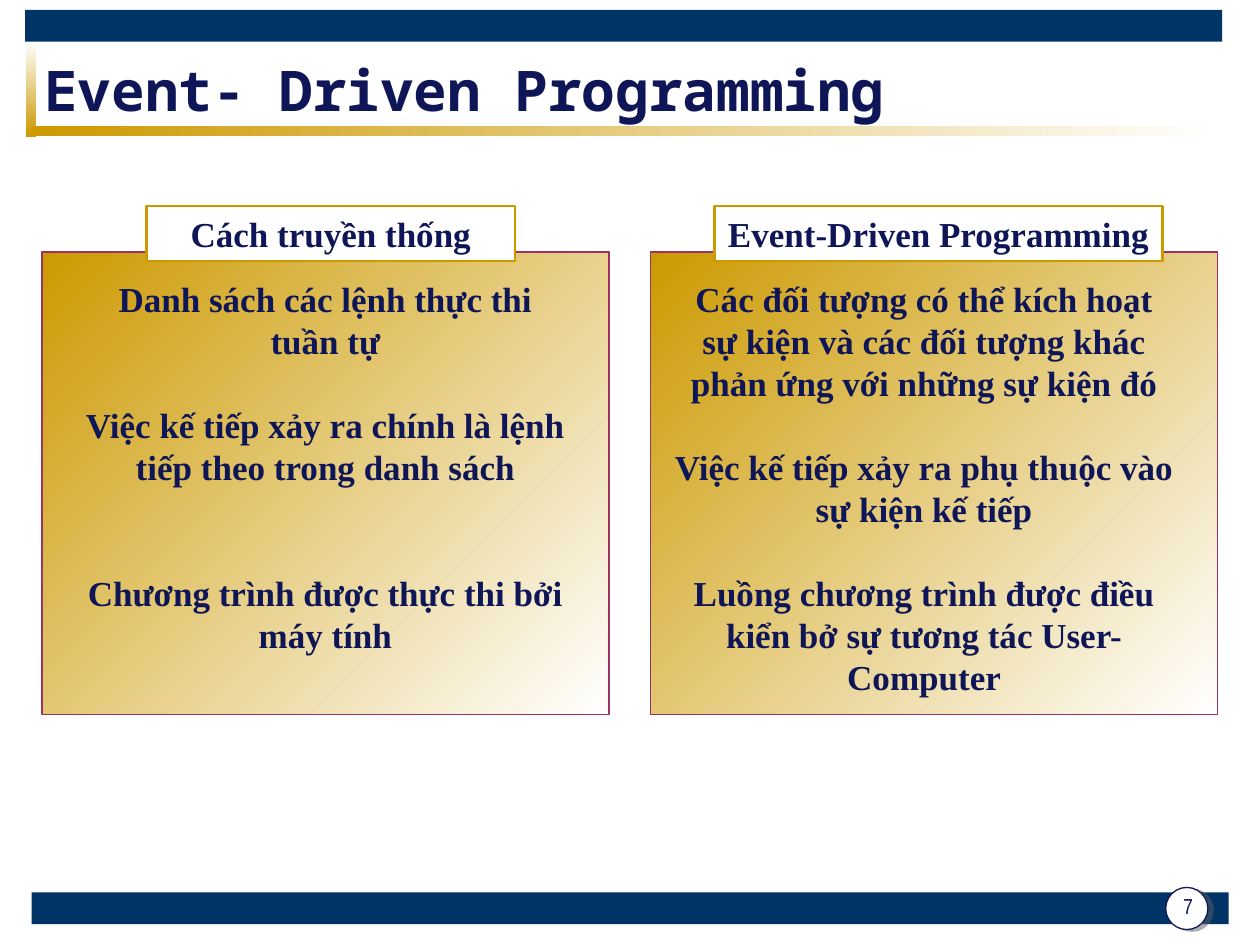
import pptx
import pptx.dml.color
import pptx.enum.shapes
import pptx.enum.text
import pptx.oxml
import pptx.oxml.ns
import pptx.util
from pptx.util import Cm

NAVY, BAR_BLUE, GOLD, PLUM, WHITE = "0F1657", "003366", "CC9900", "993366", "FFFFFF"
BODY_FONT = "Times New Roman"
PANEL_TOP, PANEL_WIDTH, PANEL_HEIGHT = 5.08, 11.43, 9.32
BODY_TOP, LINE_PT = 5.46, 24

# Each column: panel left, heading (left, width, text), body (left, width, height),
# and body paragraphs as (text, empty lines above)
COLUMNS = [
    (0.85, (2.96, 7.42, "Cách truyền thống"), (1.48, 10.16, 7.87), [
        ("Danh sách các lệnh thực thi tuần tự", 0),
        ("Việc kế tiếp xảy ra chính là lệnh tiếp theo trong danh sách", 1),
        ("Chương trình được thực thi bởi máy tính", 2),
    ]),
    (13.12, (14.4, 9.04, "Event-Driven Programming"), (13.34, 10.58, 8.72), [
        ("Các đối tượng có thể kích hoạt sự kiện và các đối tượng khác "
         "phản ứng với những sự kiện đó", 0),
        ("Việc kế tiếp xảy ra phụ thuộc vào sự kiện kế tiếp", 1),
        ("Luồng chương trình được điều kiển bở sự tương tác User-Computer", 1),
    ]),
]


def color(hex_code):
    return pptx.dml.color.RGBColor.from_string(hex_code)


def write(frame, paragraphs, font=BODY_FONT, size=20, bold=True, align="CENTER",
          anchor="MIDDLE", spacing=None):
    """Fill a text frame with (text, points above) paragraphs."""
    frame.word_wrap = True
    frame.auto_size = pptx.enum.text.MSO_AUTO_SIZE.NONE
    frame.vertical_anchor = getattr(pptx.enum.text.MSO_ANCHOR, anchor)
    for index, (text, above) in enumerate(paragraphs):
        paragraph = frame.add_paragraph() if index else frame.paragraphs[0]
        paragraph.alignment = getattr(pptx.enum.text.PP_ALIGN, align)
        paragraph.space_before = pptx.util.Pt(above)
        if spacing:
            paragraph.line_spacing = spacing
        run = paragraph.add_run()
        run.text = text
        run.font.name = font
        run.font.size = pptx.util.Pt(size)
        run.font.bold = bold
        run.font.color.rgb = color(NAVY)


def add_box(slide, left, top, width, height, fill, angle=0, line=None,
            line_width=0.75, preset="RECTANGLE"):
    """Add a shape; fill is one hex colour or a pair for a gradient (clockwise angle)."""
    box = slide.shapes.add_shape(getattr(pptx.enum.shapes.MSO_SHAPE, preset),
                                 Cm(left), Cm(top), Cm(width), Cm(height))
    box.shadow.inherit = False
    if isinstance(fill, tuple):
        box.fill.gradient()
        box.fill.gradient_angle = -angle % 360
        for stop, position, hex_code in zip(box.fill.gradient_stops, (0, 1), fill):
            stop.position = position
            stop.color.rgb = color(hex_code)
    else:
        box.fill.solid()
        box.fill.fore_color.rgb = color(fill)
    if line:
        box.line.color.rgb = color(line)
        box.line.width = pptx.util.Pt(line_width)
    else:
        box.line.fill.background()
    return box


def add_label(slide, left, top, width, height, paragraphs, **text_format):
    label = slide.shapes.add_textbox(Cm(left), Cm(top), Cm(width), Cm(height))
    write(label.text_frame, paragraphs, **text_format)


def add_shadow(shape, hex_code, alpha, distance, direction):
    effects = shape._element.spPr.find(pptx.oxml.ns.qn("a:effectLst"))
    effects.append(pptx.oxml.parse_xml(
        f'<a:outerShdw {pptx.oxml.ns.nsdecls("a")} blurRad="0" '
        f'dist="{pptx.util.Pt(distance)}" dir="{direction * 60000}" algn="ctr" '
        f'rotWithShape="0"><a:srgbClr val="{hex_code}">'
        f'<a:alpha val="{alpha * 1000}"/></a:srgbClr></a:outerShdw>'))


def add_frame(slide):
    # Navy bars and gold fading rules
    add_box(slide, 0.64, 17.99, 24.13, 0.64, BAR_BLUE)
    add_box(slide, 0.51, 0.2, 24.13, 0.64, BAR_BLUE)
    add_box(slide, 0.53, 0.85, 0.2, 1.9, (WHITE, GOLD), angle=90)
    add_box(slide, 0.64, 2.54, 23.92, 0.2, (GOLD, WHITE))
    # Page number badge
    badge = add_box(slide, 23.5, 17.89, 0.85, 0.85, WHITE, line=NAVY, preset="OVAL")
    add_shadow(badge, "5F5F5F", alpha=50, distance=3.2, direction=18)
    add_label(slide, 23.39, 17.86, 1.12, 0.91, [("7", 0)], font="Arial Narrow",
              size=12.4, bold=False, spacing=0.8)


def add_title(slide, text):
    title = slide.shapes.title
    title.left, title.top, title.width, title.height = Cm(0.64), Cm(1.07), Cm(22.86), Cm(1.47)
    write(title.text_frame, [(text, 0)], font="Noto Sans Mono", size=32, align="LEFT")


def add_column(slide, panel_left, heading, body, points):
    add_box(slide, panel_left, PANEL_TOP, PANEL_WIDTH, PANEL_HEIGHT, (GOLD, WHITE),
            angle=45, line=PLUM)
    body_left, body_width, body_height = body
    add_label(slide, body_left, BODY_TOP, body_width, body_height,
              [(text, gap * LINE_PT) for text, gap in points],
              anchor="TOP", spacing=pptx.util.Pt(LINE_PT))
    heading_left, heading_width, heading_text = heading
    card = add_box(slide, heading_left, 4.15, heading_width, 1.11, WHITE,
                   line=GOLD, line_width=1.5)
    write(card.text_frame, [(heading_text, 0)])


def main():
    deck = pptx.Presentation()
    deck.slide_width, deck.slide_height = Cm(25.4), Cm(19.05)
    slide = deck.slides.add_slide(deck.slide_layouts[5])
    add_frame(slide)
    add_title(slide, "Event- Driven Programming")
    for column in COLUMNS:
        add_column(slide, *column)
    deck.save("out.pptx")


if __name__ == "__main__":
    main()
